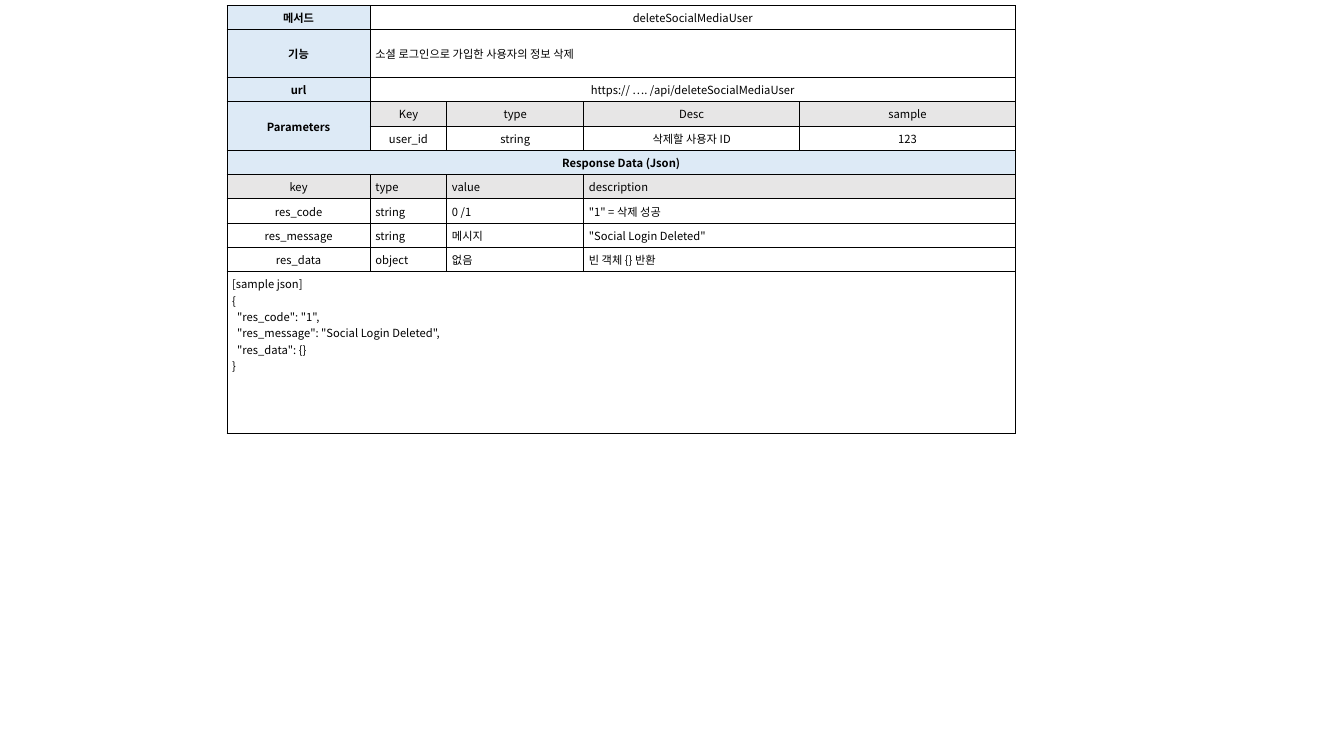
from lxml import etree
from pptx import Presentation
from pptx.dml.color import RGBColor
from pptx.enum.text import MSO_ANCHOR, PP_ALIGN
from pptx.oxml.ns import qn
from pptx.util import Cm, Pt

LEFT, CENTER = PP_ALIGN.LEFT, PP_ALIGN.CENTER
TOP, MIDDLE = MSO_ANCHOR.TOP, MSO_ANCHOR.MIDDLE
BLACK = RGBColor(0x00, 0x00, 0x00)
WHITE = RGBColor(0xFF, 0xFF, 0xFF)
BLUE = RGBColor(0xDD, 0xEA, 0xF6)
GREY = RGBColor(0xE7, 0xE6, 0xE6)
FONT = "Noto Sans CJK KR"

# Content: style of the row's cells, then the cells.
# None continues the cell to the left, or the one above in the first column.
SAMPLE = """[sample json]
{
  "res_code": "1",
  "res_message": "Social Login Deleted",
  "res_data": {}
}"""
ROWS = [
    ("label center", ["메서드", "deleteSocialMediaUser", None, None, None]),
    ("label left", ["기능", "소셜 로그인으로 가입한 사용자의 정보 삭제", None, None, None]),
    ("label center", ["url", "https:// …. /api/deleteSocialMediaUser", None, None, None]),
    ("param head", ["Parameters", "Key", "type", "Desc", "sample"]),
    ("param", [None, "user_id", "string", "삭제할 사용자 ID", "123"]),
    ("title", ["Response Data (Json)", None, None, None, None]),
    ("response head", ["key", "type", "value", "description", None]),
    ("response", ["res_code", "string", "0 /1", '"1" = 삭제 성공', None]),
    ("response", ["res_message", "string", "메시지", '"Social Login Deleted"', None]),
    ("response", ["res_data", "object", "없음", "빈 객체 {} 반환", None]),
    ("sample", [SAMPLE, None, None, None, None]),
]
# Style: (fill, bold, alignment) of the first cell, then of the others
BLUE_LABEL = (BLUE, True, CENTER)
PLAIN_CENTER = (WHITE, False, CENTER)
PLAIN_LEFT = (WHITE, False, LEFT)
GREY_CENTER = (GREY, False, CENTER)
GREY_LEFT = (GREY, False, LEFT)
STYLES = {
    "label center": (BLUE_LABEL, PLAIN_CENTER),
    "label left": (BLUE_LABEL, PLAIN_LEFT),
    "param head": (BLUE_LABEL, GREY_CENTER),
    "param": (BLUE_LABEL, PLAIN_CENTER),
    "title": (BLUE_LABEL, BLUE_LABEL),
    "response head": (GREY_CENTER, GREY_LEFT),
    "response": (PLAIN_CENTER, PLAIN_LEFT),
    "sample": (PLAIN_LEFT, PLAIN_LEFT),
}
COL_WIDTHS = [Cm(w) for w in (3.61, 1.93, 3.45, 5.44, 5.44)]
ROW_HEIGHTS = [Cm(h) for h in [0.51, 1.2] + [0.51] * 8 + [4.07]]


def set_borders(cell):
    tc_pr = cell._tc.get_or_add_tcPr()
    for i, side in enumerate(("lnL", "lnR", "lnT", "lnB")):
        ln = etree.Element(qn("a:" + side), w=str(Pt(0.75)))
        fill = etree.SubElement(ln, qn("a:solidFill"))
        etree.SubElement(fill, qn("a:srgbClr"), val=str(BLACK))
        tc_pr.insert(i, ln)


def write(cell, text, bold, align):
    tf = cell.text_frame
    for i, line in enumerate(text.split("\n")):
        p = tf.add_paragraph() if i else tf.paragraphs[0]
        p.alignment = align
        r = p.add_run()
        r.text = line
        r.font.name = FONT
        r.font.size = Pt(8)
        r.font.bold = bold
        r.font.color.rgb = BLACK
        etree.SubElement(r.font._element, qn("a:ea"), typeface=FONT)


prs = Presentation()
prs.slide_width, prs.slide_height = Cm(33.87), Cm(19.05)
s = prs.slides.add_slide(prs.slide_layouts[6])

# Table grid
table = s.shapes.add_table(len(ROWS), len(COL_WIDTHS), Cm(5.72), Cm(0.14),
                           sum(COL_WIDTHS), sum(ROW_HEIGHTS)).table
for col, width in zip(table.columns, COL_WIDTHS):
    col.width = width
for row, height in zip(table.rows, ROW_HEIGHTS):
    row.height = height

# Cell formats and text
for i, (style, texts) in enumerate(ROWS):
    for j, text in enumerate(texts):
        fill, bold, align = STYLES[style][j > 0]
        cell = table.cell(i, j)
        cell.margin_left = cell.margin_right = Cm(0.13)
        cell.margin_top = cell.margin_bottom = Cm(0.1)
        cell.vertical_anchor = TOP if style == "sample" else MIDDLE
        cell.fill.solid()
        cell.fill.fore_color.rgb = fill
        set_borders(cell)
        if text is not None:
            write(cell, text, bold, align)

# Merged cells
for i, (style, texts) in enumerate(ROWS):
    if texts[0] is None:
        table.cell(i - 1, 0).merge(table.cell(i, 0))
    if texts[-1] is None:
        start = max(j for j, text in enumerate(texts) if text is not None)
        table.cell(i, start).merge(table.cell(i, len(texts) - 1))

prs.save("out.pptx")
